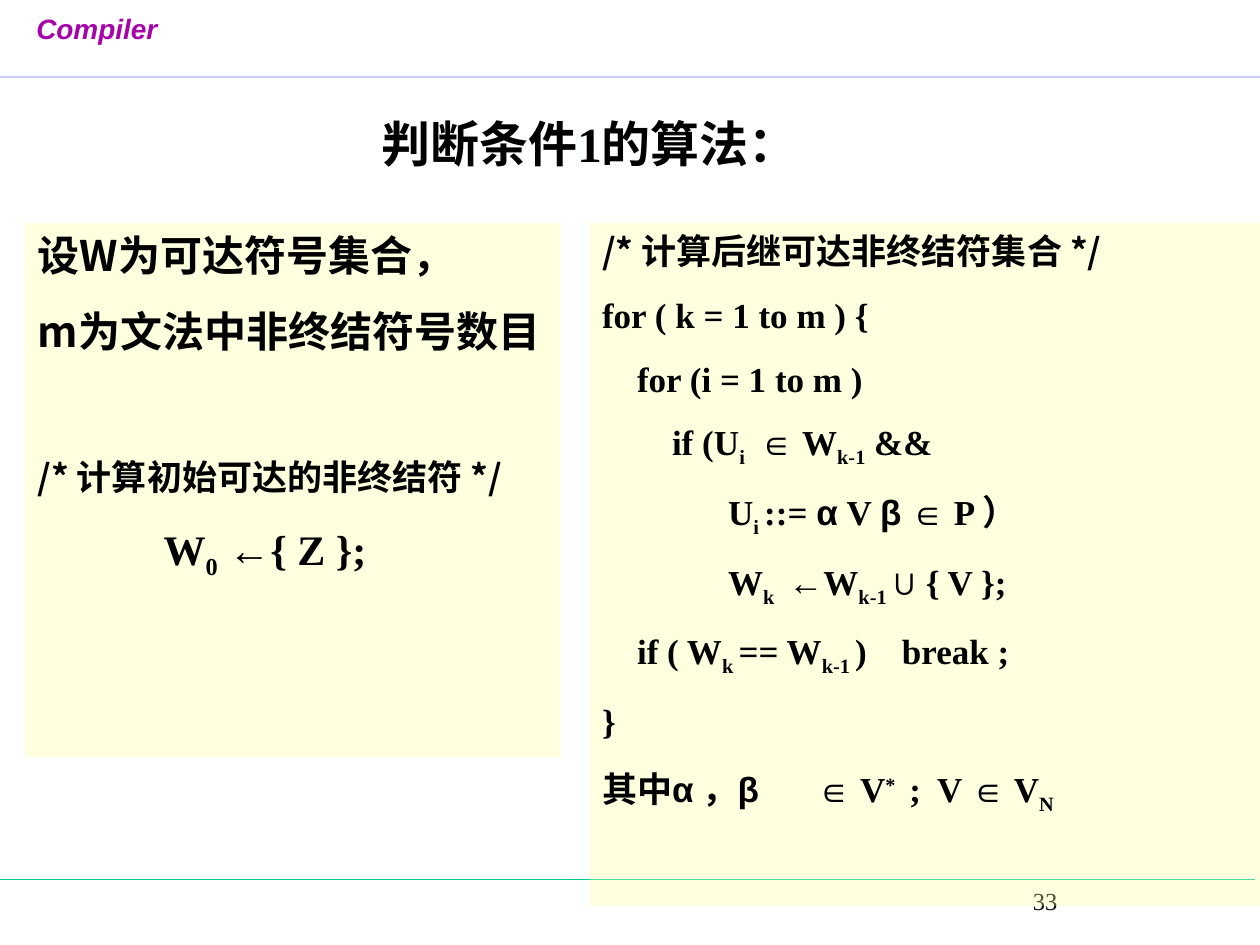
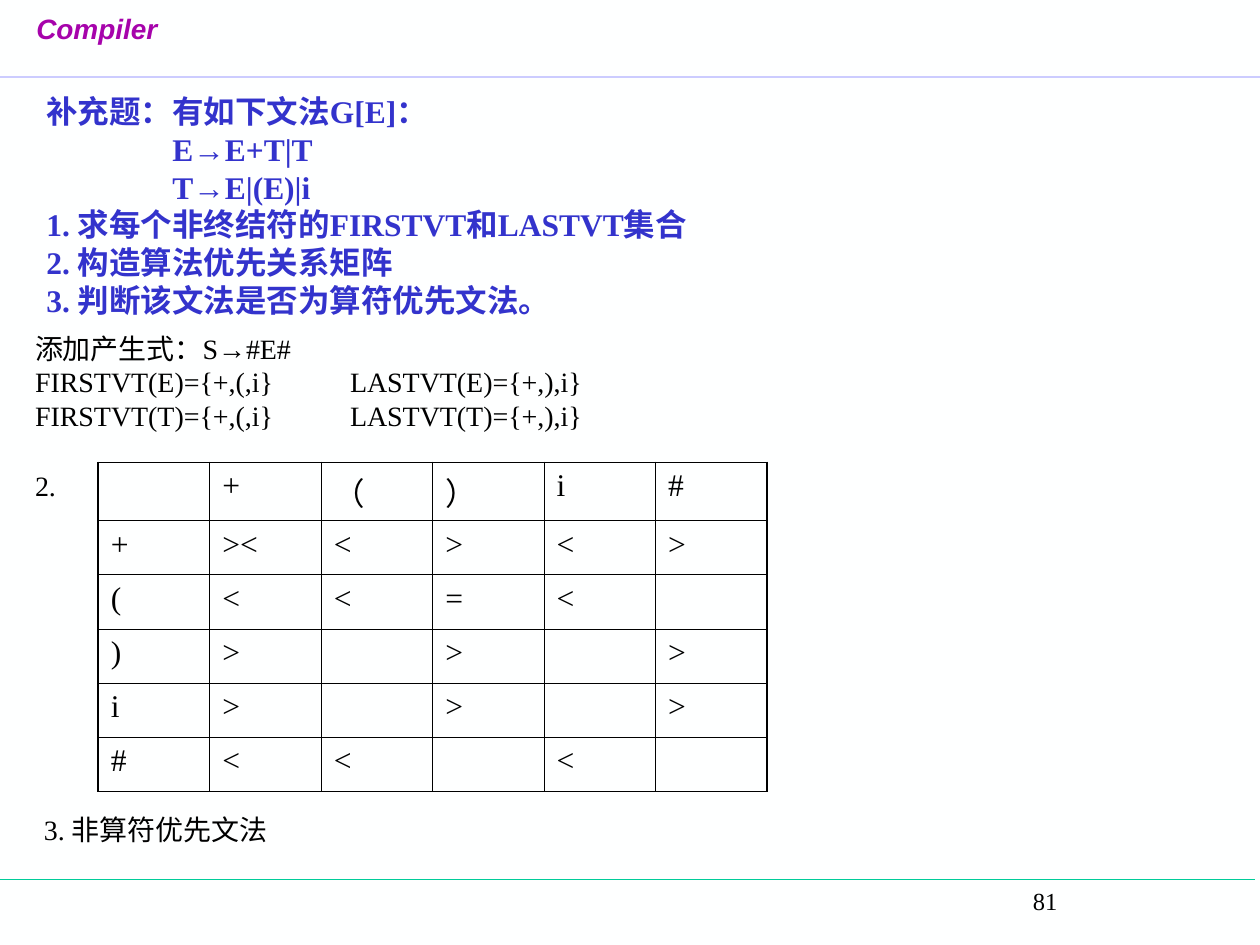
from collections import namedtuple

from lxml import etree
from pptx import Presentation
from pptx import util as u
from pptx.dml.color import RGBColor
from pptx.enum import shapes, text
from pptx.oxml import ns

PAPER = RGBColor(0xFE, 0xFF, 0xFF)
INK = RGBColor(0, 0, 0)
PURPLE = RGBColor(0xA6, 0x03, 0xAB)
BLUE = RGBColor(0x33, 0x33, 0xCC)
LAVENDER = RGBColor(0xCC, 0xCC, 0xFF)
GREEN = RGBColor(0x00, 0xCC, 0x99)
YELLOW = RGBColor(0xFF, 0xFF, 0x99)

SERIF = "Times New Roman"
SANS = "Arial"
HAN = "Noto Sans CJK SC"

WIDTH, HEIGHT = u.Inches(10), u.Inches(7.5)
COLUMN, ROW = WIDTH / 100, HEIGHT / 75
TITLE_ONLY, BLANK = 5, 6

Box = namedtuple("Box", "left top width height")
Span = namedtuple("Span", "words shift face", defaults=(0, None))
Line = namedtuple("Line", "spans size face before tabs", defaults=(20, SERIF, 0, ()))


def sub(words):
    return Span(words, -25000)


def sup(words):
    return Span(words, 30000)


def greek(words):
    return Span(words, 0, SANS)


def emu(box):
    return (round(box.left * COLUMN), round(box.top * ROW),
            round(box.width * COLUMN), round(box.height * ROW))


def add_xml(parent, tag, **attributes):
    return etree.SubElement(parent, ns.qn(tag), attributes)


def write(frame, lines, color=INK, bold=False, italic=False,
          anchor=text.MSO_ANCHOR.TOP, align=text.PP_ALIGN.LEFT):
    frame.word_wrap = True
    frame.auto_size = text.MSO_AUTO_SIZE.NONE
    frame.vertical_anchor = anchor
    for index, line in enumerate(lines):
        para = frame.add_paragraph() if index else frame.paragraphs[0]
        if line.tabs:
            stops = add_xml(para._p.get_or_add_pPr(), "a:tabLst")
            for stop in line.tabs:
                add_xml(stops, "a:tab", pos=str(round(stop * COLUMN)), algn="l")
        para.alignment = align
        para.space_before = u.Pt(line.before if index else 0)
        font = para.font
        font.name, font.size = line.face, u.Pt(line.size)
        font.bold, font.italic = bold, italic
        font.color.rgb = color
        spans = [line.spans] if isinstance(line.spans, str) else line.spans
        for span in spans:
            span = Span(span) if isinstance(span, str) else span
            run = para.add_run()
            run.text = span.words
            if span.face:
                run.font.name = span.face
            if span.shift:
                run.font._element.set("baseline", str(span.shift))


def add_text(page, box, lines, **style):
    frame = page.shapes.add_textbox(*emu(box)).text_frame
    write(frame, lines, **style)


def add_rule(page, top, right, color, weight):
    height = round(top * ROW)
    rule = page.shapes.add_connector(
        shapes.MSO_CONNECTOR.STRAIGHT, 0, height, round(right * COLUMN), height)
    rule.line.color.rgb = color
    rule.line.width = u.Pt(weight)
    add_xml(rule._element.spPr, "a:effectLst")


def add_page(deck, layout, number):
    page = deck.slides.add_slide(deck.slide_layouts[layout])
    add_rule(page, 69.8, 99.6, GREEN, 0.75)
    add_rule(page, 6.1, 100, LAVENDER, 1)
    add_text(page, Box(1.9, 0.4, 12, 5.6), [Line("Compiler", 16, SANS)],
             color=PURPLE, bold=True, italic=True)
    add_text(page, Box(81, 69.8, 18.6, 5), [Line(number, 14)])
    return page


def add_title(page, box, words):
    title = page.shapes.title
    title.left, title.top, title.width, title.height = emu(box)
    write(title.text_frame, [Line(words, 28)], bold=True, align=text.PP_ALIGN.CENTER)


def add_panel(page, box, lines):
    panel = page.shapes.add_shape(shapes.MSO_SHAPE.RECTANGLE, *emu(box))
    panel.shadow.inherit = False
    panel.fill.solid()
    panel.fill.fore_color.rgb = YELLOW
    tint = panel._element.spPr.find(".//" + ns.qn("a:srgbClr"))
    add_xml(tint, "a:alpha", val="31000")
    panel.line.fill.background()
    write(panel.text_frame, lines, bold=True)


def add_border(cell, side, weight):
    edge = add_xml(cell._tc.get_or_add_tcPr(), "a:ln" + side, w=str(u.Pt(weight)))
    add_xml(add_xml(edge, "a:solidFill"), "a:srgbClr", val=str(INK))


def add_matrix(page, box, rows):
    count = len(rows)
    table = page.shapes.add_table(count, count, *emu(box)).table
    table.first_row = table.horz_banding = False
    head = 4
    for index in range(count):
        table.columns[index].width = round(box.width / count * COLUMN)
        share = (box.height - head) / (count - 1) if index else head
        table.rows[index].height = round(share * ROW)
    last = count - 1
    for i, row in enumerate(rows):
        for j, sign in enumerate(row):
            cell = table.cell(i, j)
            outer = {"L": j == 0, "R": j == last, "T": i == 0, "B": i == last}
            for side, thick in outer.items():
                add_border(cell, side, 1.08 if thick else 0.45)
            cell.fill.background()
            if sign:
                write(cell.text_frame, [Line(sign, 18)])


def build_algorithm(deck):
    page = add_page(deck, TITLE_ONLY, "33")
    add_title(page, Box(15.3, 8.5, 63, 5.7), "判断条件1的算法：")
    add_panel(page, Box(2, 17.7, 42.5, 42.4), [
        Line("设W为可达符号集合，", 24, HAN),
        Line("m为文法中非终结符号数目", 24, HAN, 15),
        Line("/* 计算初始可达的非终结符 */", 20, HAN, 56.5),
        Line(["\tW", sub("0"), " ←{ Z };"], 24, SERIF, 15, (10,)),
    ])
    code = [
        (["for ( k = 1 to m ) {"], ()),
        (["    for (i = 1 to m )"], ()),
        (["        if (U", sub("i "), " ∈ W", sub("k-1"), " &&"], ()),
        (["\tU", sub("i "), "::= ", greek("α"), " V ", greek("β"), " ∈ P ）"], (10,)),
        (["\tW", sub("k "), " ←W", sub("k-1 "), greek("∪"), " { V };"], (10,)),
        (["    if ( W", sub("k "), "== W", sub("k-1 "), ")\tbreak ;"], (23.8,)),
        (["}"], ()),
    ]
    add_panel(page, Box(46.8, 17.7, 53.2, 54.2), [
        Line("/* 计算后继可达非终结符集合 */", 20, HAN),
        *(Line(spans, before=12.5, tabs=tabs) for spans, tabs in code),
        Line(["其中", greek("α"), " ，", greek("β"), "\t∈ V", sup("* "), " ;\tV ∈ V", sub("N")],
             before=15, tabs=(17, 26.6)),
    ])


def build_exercise(deck):
    page = add_page(deck, BLANK, "81")
    question = ["补充题：有如下文法G[E]：", "\tE→E+T|T", "\tT→E|(E)|i",
                "1. 求每个非终结符的FIRSTVT和LASTVT集合",
                "2. 构造算法优先关系矩阵",
                "3. 判断该文法是否为算符优先文法。"]
    add_text(page, Box(2.7, 6.8, 76.4, 19),
             [Line(words, 18, tabs=(10,)) for words in question],
             color=BLUE, bold=True, anchor=text.MSO_ANCHOR.MIDDLE)
    sets = [f"FIRSTVT({name})={{+,(,i}}\tLASTVT({name})={{+,),i}}" for name in "ET"]
    add_text(page, Box(1.8, 25.8, 55, 9),
             [Line(words, 16, tabs=(25,)) for words in ["添加产生式：S→#E#", *sets]])
    add_text(page, Box(1.8, 36.7, 5, 3.7), [Line("2.", 16)])
    add_matrix(page, Box(7.8, 36.7, 53.1, 25.5), [
        ["", "+", "（", "）", "i", "#"],
        ["+", "><", "<", ">", "<", ">"],
        ["(", "<", "<", "=", "<", ""],
        [")", ">", "", ">", "", ">"],
        ["i", ">", "", ">", "", ">"],
        ["#", "<", "<", "", "<", ""],
    ])
    add_text(page, Box(2.5, 64, 24, 3.7), [Line("3. 非算符优先文法", 16)])


def main():
    deck = Presentation()
    deck.slide_width, deck.slide_height = WIDTH, HEIGHT
    backdrop = deck.slide_master.background.fill
    backdrop.solid()
    backdrop.fore_color.rgb = PAPER
    build_algorithm(deck)
    build_exercise(deck)
    deck.save("out.pptx")


if __name__ == "__main__":
    main()
